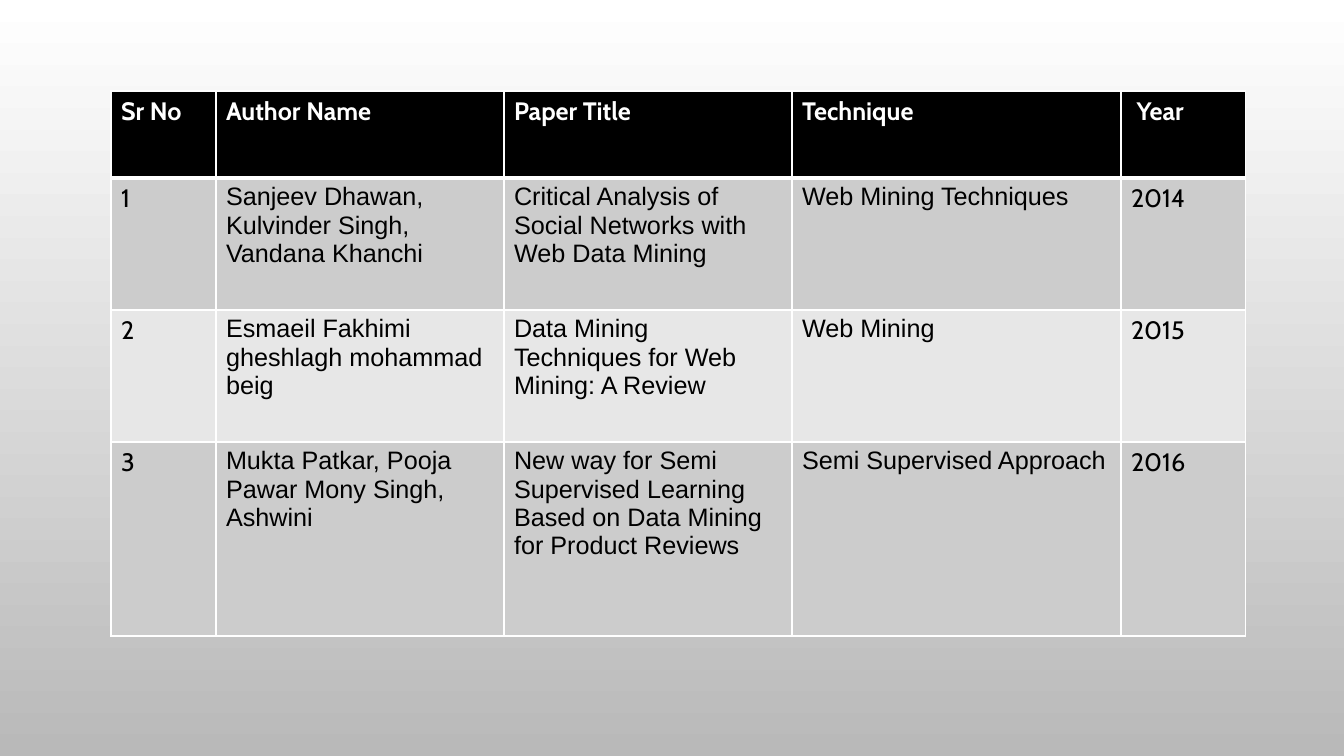
from lxml import etree
from pptx import Presentation, util as u
from pptx.dml.color import RGBColor
from pptx.oxml import ns

HEAD = ["Sr No", "Author Name", "Paper Title", "Technique", " Year"]
PAPERS = [
    ("1", "Sanjeev Dhawan, Kulvinder Singh, Vandana Khanchi",
     "Critical Analysis of Social Networks with Web Data Mining",
     "Web Mining Techniques", "2014"),
    ("2", "Esmaeil Fakhimi gheshlagh mohammad beig",
     "Data Mining Techniques for Web Mining: A Review",
     "Web Mining", "2015"),
    ("3", "Mukta Patkar, Pooja Pawar Mony Singh, Ashwini",
     "New way for Semi Supervised Learning Based on Data Mining "
     "for Product Reviews",
     "Semi Supervised Approach", "2016"),
]
SIZE = (1344, 756)
LEFT, TOP = 111, 91
COLS = [105, 288, 288, 329, 125]
ROWS = [87, 132, 132, 194]
FONTS = ["Cabin", "Arial", "Arial", "Arial", "Cabin"]
BANDS = ["CCCCCC", "E7E7E7"]
BACK = ["FFFFFF", "B9B9B9"]
WHITE, BLACK = "FFFFFF", "000000"


def px(n):
    return u.Emu(round(n * 914400 / 100.8))


def rgb(code):
    return RGBColor.from_string(code)


def border(cell, side, width):
    """Draw one white edge; side is L, R, T or B, width is in points."""
    props = cell._tc.get_or_add_tcPr()
    line = etree.SubElement(props, ns.qn("a:ln" + side), w=str(u.Pt(width)))
    fill = etree.SubElement(line, ns.qn("a:solidFill"))
    etree.SubElement(fill, ns.qn("a:srgbClr"), val=WHITE)


def fill_cell(cell, words, row, col):
    head = row == 0
    for side in "LRTB":
        thick = (row, side) in [(0, "B"), (1, "T")]
        border(cell, side, 3 if thick else 1)
    cell.fill.solid()
    cell.fill.fore_color.rgb = rgb(BLACK if head else BANDS[(row - 1) % 2])
    run = cell.text_frame.paragraphs[0].add_run()
    run.text = words
    style = {"name": "Cabin" if head else FONTS[col],
             "size": u.Pt(18), "bold": head}
    for key, value in style.items():
        setattr(run.font, key, value)
    run.font.color.rgb = rgb(WHITE if head else BLACK)


def main():
    deck = Presentation()
    deck.slide_width, deck.slide_height = map(px, SIZE)
    slide = deck.slides.add_slide(deck.slide_layouts[6])

    back = slide.background.fill
    back.gradient()
    back.gradient_angle = 270
    for stop, code in zip(back.gradient_stops, BACK):
        stop.color.rgb = rgb(code)

    frame = slide.shapes.add_table(
        len(ROWS), len(COLS), px(LEFT), px(TOP), px(sum(COLS)), px(sum(ROWS)))
    table = frame.table
    for col, width in zip(table.columns, COLS):
        col.width = px(width)
    for row, height in zip(table.rows, ROWS):
        row.height = px(height)
    for r, line in enumerate([HEAD, *PAPERS]):
        for c, words in enumerate(line):
            fill_cell(table.cell(r, c), words, r, c)

    deck.save("out.pptx")


if __name__ == "__main__":
    main()
